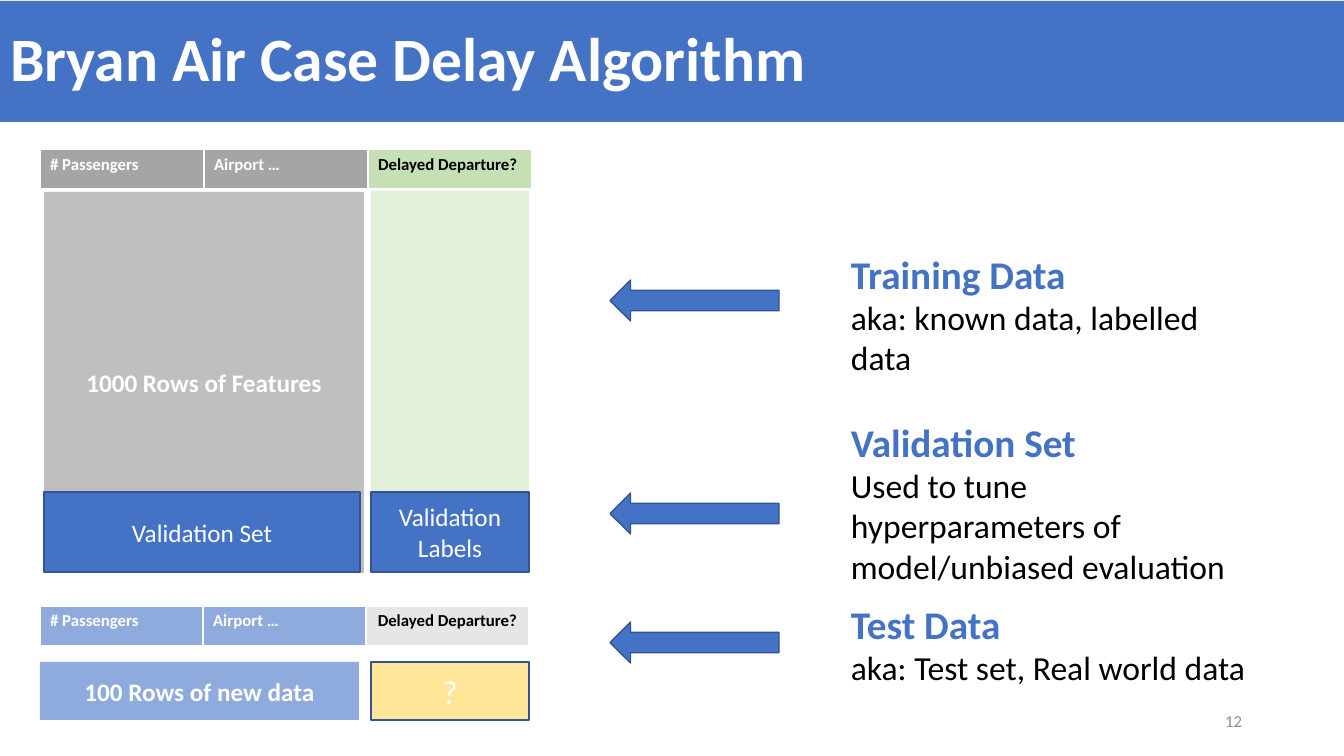
from dataclasses import dataclass

from lxml import etree
from pptx import Presentation
from pptx.dml.color import RGBColor
from pptx.enum import shapes, text
from pptx.oxml import ns

TITLE = "Bryan Air Case Delay Algorithm"
SLIDE_NUMBER = "12"

HEADERS = ["# Passengers", "Airport …", "Delayed Departure?"]
# left, top, column width, fill of features, fill of label, label alignment
TABLES = [
    (40, 149, 164, "gray", "green", "left"),
    (40, 606, 163, "light_blue", "pale_gray", "center"),
]
LABELS_AREA = (371, 191, 158, 382)
# text, box, fill, outlined, size, bold
BLOCKS = [
    ("1000 Rows of Features", (44, 192, 320, 381), "silver", False, "body", True),
    ("100 Rows of new data", (40, 662, 319, 58), "light_blue", False, "body", True),
    ("?", (371, 662, 158, 58), "yellow", True, "note", False),
    ("Validation Set", (44, 492, 316, 80), "blue", True, "body", False),
    ("Validation Labels", (371, 492, 158, 80), "blue", True, "body", False),
]
# heading, explanation, text box, top of its arrow
NOTES = [
    ("Training Data", "aka: known data, labelled data", (841, 245, 410, 139), 280),
    ("Validation Set", "Used to tune hyperparameters of model/unbiased evaluation",
     (841, 413, 410, 179), 493),
    ("Test Data", "aka: Test set, Real world data", (841, 595, 449, 99), 622),
]
ARROW_LEFT, ARROW_WIDTH, ARROW_HEIGHT = 610, 169, 41
HEADER_HEIGHT = 41
SLIDE_WIDTH, SLIDE_HEIGHT = 1344, 756
EMU_PER_PX = 914400 / 100.8
EMU_PER_PT = 12700


@dataclass(frozen=True)
class Theme:
    font: str
    colors: dict
    sizes: dict


THEME = Theme(
    font="Calibri",
    colors={
        "white": "FFFFFF", "black": "000000", "blue": "4472C4", "outline": "325491",
        "light_blue": "8FAADC", "gray": "A5A5A5", "silver": "BFBFBF",
        "pale_gray": "E7E6E6", "number": "8C8C8C", "green": "C5E0B4",
        "pale_green": "E2F0D9", "yellow": "FFE699",
    },
    sizes={"title": 44, "heading": 28, "note": 24, "body": 18, "small": 12},
)
ALIGN = {"left": text.PP_ALIGN.LEFT, "center": text.PP_ALIGN.CENTER,
         "right": text.PP_ALIGN.RIGHT}


def px(length):
    return round(length * EMU_PER_PX)


def place(box):
    return [px(length) for length in box]


def color(name):
    return RGBColor.from_string(THEME.colors[name])


def write(paragraph, words, size="body", ink="white", bold=False, align="left"):
    """Append one formatted run to a paragraph."""
    paragraph.alignment = ALIGN[align]
    run = paragraph.add_run()
    run.text = words
    run.font.name = THEME.font
    run.font.size = THEME.sizes[size] * EMU_PER_PT
    run.font.bold = bold
    run.font.color.rgb = color(ink)


def paint(shape, fill, outlined=False):
    shape.shadow.inherit = False
    shape.fill.solid()
    shape.fill.fore_color.rgb = color(fill)
    if outlined:
        shape.line.color.rgb = color("outline")
        shape.line.width = EMU_PER_PT
    else:
        shape.line.fill.background()


def add_preset(slide, preset, box, fill, outlined=False):
    shape = slide.shapes.add_shape(preset, *place(box))
    paint(shape, fill, outlined)
    return shape


def add_text_box(slide, box):
    frame = slide.shapes.add_textbox(*place(box)).text_frame
    frame.word_wrap = True
    return frame


def add_borders(cell):
    properties = cell._tc.get_or_add_tcPr()
    for side, points in (("L", 1), ("R", 1), ("T", 1), ("B", 3)):
        line = etree.SubElement(properties, ns.qn(f"a:ln{side}"), w=str(points * EMU_PER_PT))
        fill = etree.SubElement(line, ns.qn("a:solidFill"))
        etree.SubElement(fill, ns.qn("a:srgbClr"), val=THEME.colors["white"])


def add_header_table(slide, left, top, column_width, feature_fill, label_fill, label_align):
    box = (left, top, column_width * len(HEADERS), HEADER_HEIGHT)
    table = slide.shapes.add_table(1, len(HEADERS), *place(box)).table
    table.horz_banding = False
    formats = [(feature_fill, "white", "left")] * 2 + [(label_fill, "black", label_align)]
    for column, (header, (fill, ink, align)) in enumerate(zip(HEADERS, formats)):
        table.columns[column].width = px(column_width)
        cell = table.cell(0, column)
        add_borders(cell)
        cell.fill.solid()
        cell.fill.fore_color.rgb = color(fill)
        write(cell.text_frame.paragraphs[0], header, size="small", ink=ink,
              bold=True, align=align)


def add_title(slide):
    title = slide.shapes.title
    title.left, title.top, title.width, title.height = place((0, 1, SLIDE_WIDTH, 121))
    title.fill.solid()
    title.fill.fore_color.rgb = color("blue")
    frame = title.text_frame
    frame.auto_size = text.MSO_AUTO_SIZE.NONE
    frame.vertical_anchor = text.MSO_ANCHOR.MIDDLE
    frame.paragraphs[0].line_spacing = 0.9
    write(frame.paragraphs[0], TITLE, size="title", bold=True)


def add_block(slide, words, box, fill, outlined, size, bold):
    block = add_preset(slide, shapes.MSO_SHAPE.RECTANGLE, box, fill, outlined)
    frame = block.text_frame
    frame.word_wrap = True
    frame.vertical_anchor = text.MSO_ANCHOR.MIDDLE
    write(frame.paragraphs[0], words, size=size, bold=bold, align="center")


def add_note(slide, heading, explanation, box, arrow_top):
    arrow_box = (ARROW_LEFT, arrow_top, ARROW_WIDTH, ARROW_HEIGHT)
    arrow = add_preset(slide, shapes.MSO_SHAPE.RIGHT_ARROW, arrow_box, "blue", True)
    arrow.rotation = 180
    paragraph = add_text_box(slide, box).paragraphs[0]
    write(paragraph, heading, size="heading", ink="blue", bold=True)
    paragraph.add_line_break()
    write(paragraph, explanation, size="note", ink="black")


def main():
    presentation = Presentation()
    presentation.slide_width, presentation.slide_height = place((SLIDE_WIDTH, SLIDE_HEIGHT))
    slide = presentation.slides.add_slide(presentation.slide_layouts.get_by_name("Title Only"))
    add_title(slide)
    for table in TABLES:
        add_header_table(slide, *table)
    add_preset(slide, shapes.MSO_SHAPE.RECTANGLE, LABELS_AREA, "pale_green")
    for block in BLOCKS:
        add_block(slide, *block)
    for note in NOTES:
        add_note(slide, *note)
    number = add_text_box(slide, (950, 701, 302, 40))
    number.vertical_anchor = text.MSO_ANCHOR.MIDDLE
    write(number.paragraphs[0], SLIDE_NUMBER, size="small", ink="number", align="right")
    presentation.save("out.pptx")


if __name__ == "__main__":
    main()
